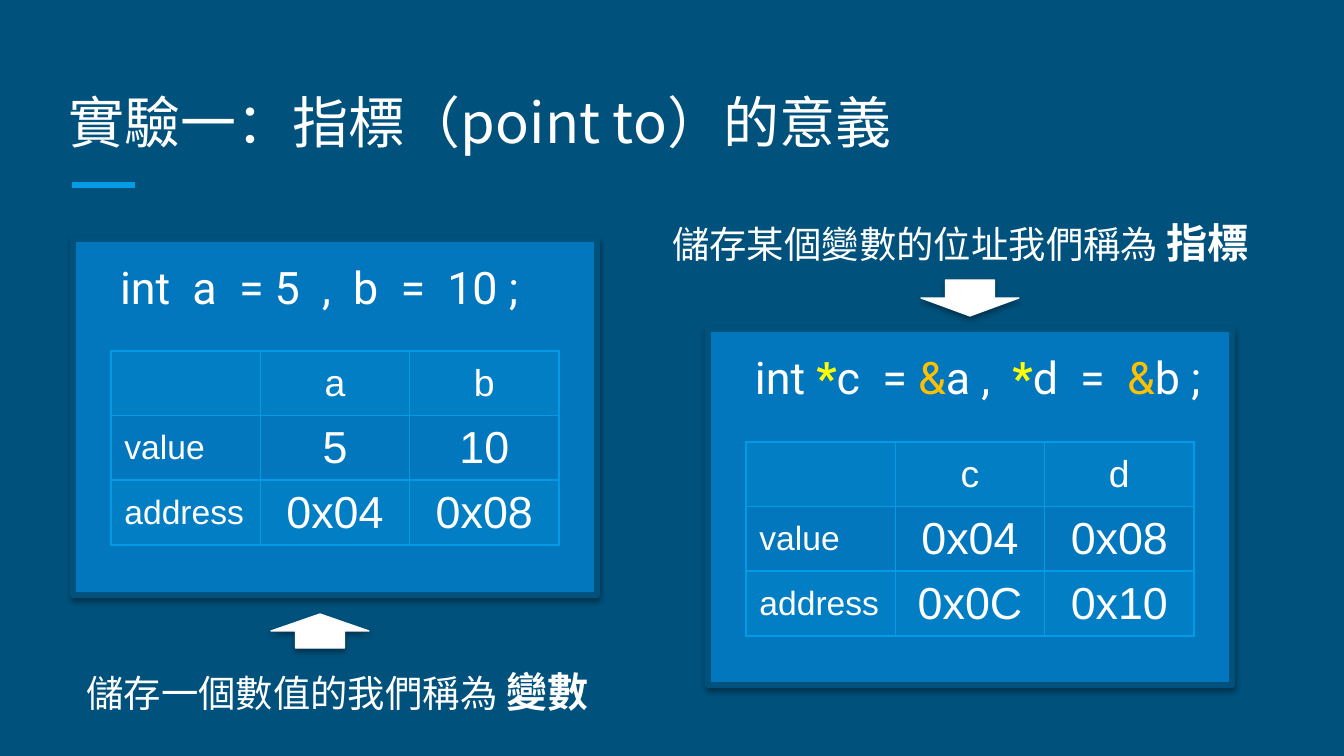
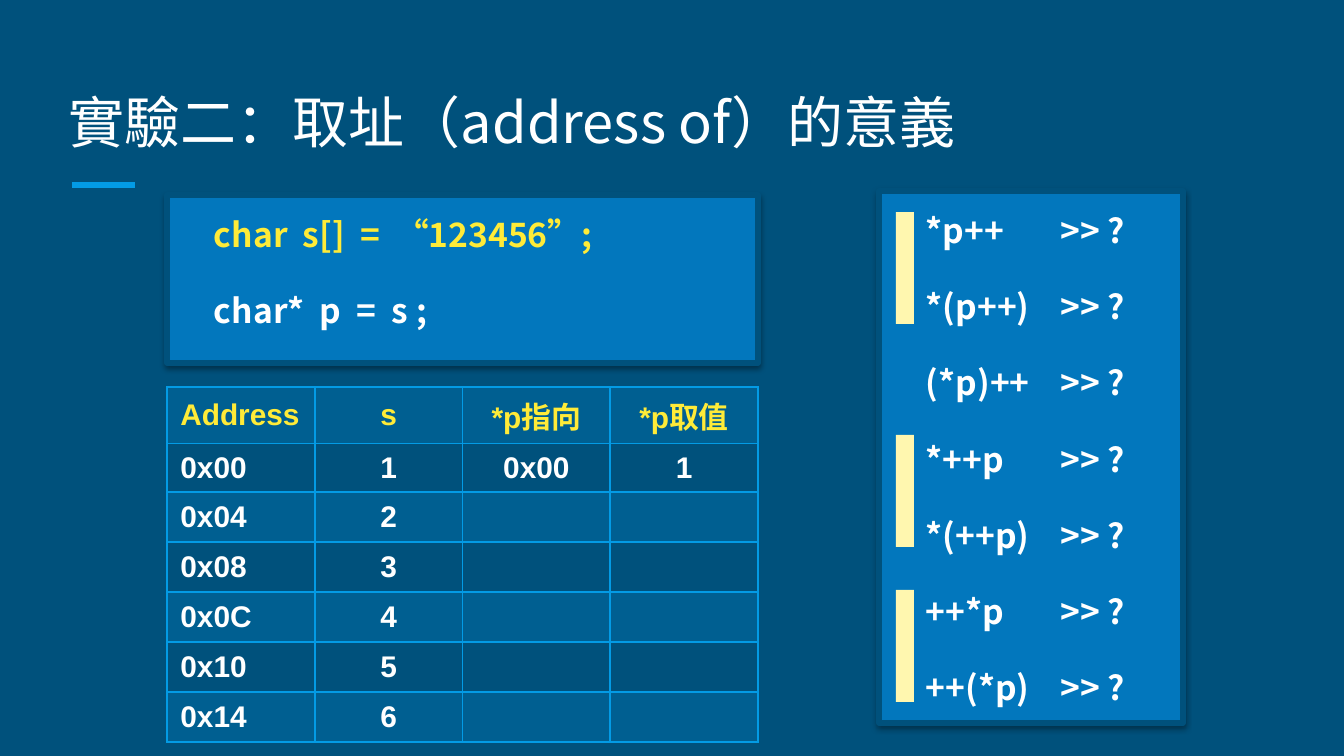
import pptx
import pptx.util
import pptx.dml.color
import pptx.enum.shapes
import pptx.enum.text
import pptx.oxml.ns
from lxml import etree

EMU_PER_PX = 914400 / 134.4
INSET = 13
CODE_INSET = 47
CJK_FONT = "Noto Sans CJK SC"
CODE_FONT = "Roboto"
TABLE_FONT = "Arial"
COLOURS = {
    "background": "00517C",
    "panel": "0277BD",
    "accent": "039BE5",
    "white": "FFFFFF",
    "arrow_edge": "F9F9F9",
    "star": "FFFF00",
    "ampersand": "FFC000",
    "highlight": "FFEB38",
    "bar": "FFF7AF",
    "shadow": "000000",
}
SHAPES = pptx.enum.shapes.MSO_SHAPE
ANCHORS = pptx.enum.text.MSO_ANCHOR
ALIGN = pptx.enum.text.PP_ALIGN
qn = pptx.oxml.ns.qn


def px(length):
    return pptx.util.Emu(round(length * EMU_PER_PX))


def colour(name):
    return pptx.dml.color.RGBColor.from_string(COLOURS[name])


def place(shape, box):
    shape.left, shape.top, shape.width, shape.height = map(px, box)


# Text
def style_run(run, font, size, tint="white", bold=False):
    run.font.name = font
    run.font.size = pptx.util.Pt(size)
    run.font.bold = bold
    run.font.color.rgb = colour(tint)
    east_asian = etree.SubElement(run.font._element, qn("a:ea"))
    east_asian.set("typeface", CJK_FONT)


def write_runs(paragraph, parts, font, size):
    """Each part is (text, colour, bold) with an optional size of its own."""
    for text, tint, bold, *own_size in parts:
        run = paragraph.add_run()
        run.text = text
        style_run(run, font, own_size[0] if own_size else size, tint, bold)


def set_frame(frame, left=INSET, anchor=ANCHORS.TOP):
    frame.word_wrap = True
    frame.auto_size = pptx.enum.text.MSO_AUTO_SIZE.NONE
    frame.vertical_anchor = anchor
    frame.margin_left = px(left)
    frame.margin_top = frame.margin_right = frame.margin_bottom = px(INSET)


def write_code(frame, lines, font, size, tab=None):
    set_frame(frame, CODE_INSET)
    for index, parts in enumerate(lines):
        paragraph = frame.add_paragraph() if index else frame.paragraphs[0]
        properties = paragraph._p.get_or_add_pPr()
        properties.set("marL", "0")
        properties.set("indent", "0")
        etree.SubElement(properties, qn("a:buNone"))
        if tab:
            stops = etree.SubElement(properties, qn("a:tabLst"))
            etree.SubElement(stops, qn("a:tab"), pos=str(px(tab)), algn="l")
        paragraph.alignment = ALIGN.LEFT
        paragraph.line_spacing = 1.15
        paragraph.space_before = pptx.util.Pt(0)
        paragraph.space_after = pptx.util.Pt(16)
        write_runs(paragraph, parts, font, size)


# Shapes
def paint(shape, fill, line=None, width=0):
    shape.fill.solid()
    shape.fill.fore_color.rgb = colour(fill)
    if line:
        shape.line.color.rgb = colour(line)
        shape.line.width = pptx.util.Pt(width)
    else:
        shape.line.fill.background()
    shape.shadow.inherit = False


def add_shadow(shape):
    effects = shape._element.spPr.find(qn("a:effectLst"))
    shadow = etree.SubElement(effects, qn("a:outerShdw"), blurRad="40000",
                              dist="20000", dir="5400000", rotWithShape="0")
    tone = etree.SubElement(shadow, qn("a:srgbClr"), val=COLOURS["shadow"])
    etree.SubElement(tone, qn("a:alpha"), val="38000")


def style_panel(shape):
    paint(shape, "panel", "background", 3)
    add_shadow(shape)


def add_code_panel(slide, box, lines, font, size, tab=None):
    panel = slide.shapes.add_shape(SHAPES.RECTANGLE, *map(px, box))
    style_panel(panel)
    write_code(panel.text_frame, lines, font, size, tab)


def add_arrow(slide, kind, box):
    arrow = slide.shapes.add_shape(kind, *map(px, box))
    paint(arrow, "white", "arrow_edge", 0.75)
    add_shadow(arrow)


def add_bar(slide, box):
    paint(slide.shapes.add_shape(SHAPES.RECTANGLE, *map(px, box)), "bar")


def add_caption(slide, box, sentence, term):
    caption = slide.shapes.add_textbox(*map(px, box))
    caption.text_frame.word_wrap = True
    write_runs(caption.text_frame.paragraphs[0],
               [(sentence, "white", False), (term, "white", True, 22)],
               CJK_FONT, 20)


# Tables
def style_cell(cell, shaded):
    properties = cell._tc.get_or_add_tcPr()
    for side in ("lnL", "lnR", "lnT", "lnB"):
        border = etree.SubElement(properties, qn("a:" + side), w="12700")
        solid = etree.SubElement(border, qn("a:solidFill"))
        etree.SubElement(solid, qn("a:srgbClr"), val=COLOURS["accent"])
    if shaded:
        solid = etree.SubElement(properties, qn("a:solidFill"))
        tone = etree.SubElement(solid, qn("a:srgbClr"), val=COLOURS["accent"])
        etree.SubElement(tone, qn("a:alpha"), val="20000")
    else:
        etree.SubElement(properties, qn("a:noFill"))
    cell.vertical_anchor = ANCHORS.MIDDLE


def add_grid(slide, box, rows, text_style):
    """text_style(row, column) gives the size, colour and weight of a cell."""
    grid = slide.shapes.add_table(len(rows), len(rows[0]), *map(px, box)).table
    grid.first_row = grid.horz_banding = False
    for row, texts in enumerate(rows):
        for column, text in enumerate(texts):
            cell = grid.cell(row, column)
            style_cell(cell, shaded=row % 2 == 0)
            paragraph = cell.text_frame.paragraphs[0]
            paragraph.alignment = ALIGN.CENTER if column else ALIGN.LEFT
            size, tint, bold = text_style(row, column)
            if text:
                paragraph.text = text
                style_run(paragraph.runs[0], TABLE_FONT, size, tint, bold)
            else:
                etree.SubElement(paragraph._p, qn("a:endParaRPr"),
                                 sz=str(size * 100))


def variable_style(row, column):
    if column == 0:
        return 18, "white", False
    return (24 if row else 20), "white", False


def trace_style(row, column):
    return 16, ("white" if row else "highlight"), True


def add_variable_table(slide, left, top, names, values, addresses):
    rows = [["", *names], ["value", *values], ["address", *addresses]]
    add_grid(slide, (left, top, 448, 194), rows, variable_style)


# Shared slide frame
def add_titled_slide(deck, layout, heading):
    slide = deck.slides.add_slide(deck.slide_layouts[layout])
    slide.background.fill.solid()
    slide.background.fill.fore_color.rgb = colour("background")
    rule = slide.shapes.add_connector(
        pptx.enum.shapes.MSO_CONNECTOR.STRAIGHT, px(72), px(185), px(135), px(185))
    rule.line.color.rgb = colour("accent")
    rule.line.width = pptx.util.Pt(3)
    etree.SubElement(rule._element.spPr, qn("a:effectLst"))
    title = slide.shapes.title
    place(title, (56, 67, 1230, 101))
    set_frame(title.text_frame, anchor=ANCHORS.BOTTOM)
    title.text_frame.text = heading
    title.text_frame.paragraphs[0].alignment = ALIGN.LEFT
    style_run(title.text_frame.paragraphs[0].runs[0], CJK_FONT, 30)
    return slide


def build_pointer_slide(deck):
    slide = add_titled_slide(deck, 5, "實驗一：指標（point to）的意義")

    # Plain variables
    add_code_panel(slide, (73, 239, 524, 356),
                   [[("int  a  = 5  ,  b  =  10 ;", "white", False)]],
                   CODE_FONT, 24)
    add_variable_table(slide, 111, 351, "ab", ["5", "10"], ["0x04", "0x08"])

    # Pointers
    declaration = [
        ("int ", "white", False), ("*", "star", True),
        ("c  = ", "white", False), ("&", "ampersand", False),
        ("a ,  ", "white", False), ("*", "star", True),
        ("d  =  ", "white", False), ("&", "ampersand", False),
        ("b ;", "white", False),
    ]
    add_code_panel(slide, (708, 329, 524, 356), [declaration], CODE_FONT, 24)
    add_variable_table(slide, 746, 442, "cd", ["0x04", "0x08"], ["0x0C", "0x10"])

    # Captions
    add_caption(slide, (73, 660, 542, 63), "儲存一個數值的我們稱為 ", "變數")
    add_caption(slide, (659, 211, 629, 63), "儲存某個變數的位址我們稱為 ", "指標")
    add_arrow(slide, SHAPES.UP_ARROW, (271, 614, 98, 34))
    add_arrow(slide, SHAPES.DOWN_ARROW, (921, 280, 98, 36))


def build_address_slide(deck):
    slide = add_titled_slide(deck, 1, "實驗二：取址（address of）的意義")

    # Declarations
    declarations = slide.placeholders[1]
    place(declarations, (167, 195, 591, 168))
    style_panel(declarations)
    write_code(declarations.text_frame,
               [[("char  s[]  =  “123456”;", "highlight", True)],
                [("char*  p  =  s ;", "white", True)]], CJK_FONT, 18)

    # Expressions to evaluate
    expressions = ["*p++", "*(p++)", "(*p)++", "*++p", "*(++p)", "++*p", "++(*p)"]
    add_code_panel(slide, (879, 191, 304, 532),
                   [[(code + "\t>> ?", "white", True)] for code in expressions],
                   CJK_FONT, 18, tab=118)

    # Memory trace
    rows = [["Address", "s", "*p指向", "*p取值"], ["0x00", "1", "0x00", "1"]]
    rows += [[f"0x{4 * step:02X}", str(step + 1), "", ""] for step in range(1, 6)]
    add_grid(slide, (167, 387, 591, 339), rows, trace_style)

    # Bars joining equivalent expressions
    for top in (212, 435, 590):
        add_bar(slide, (896, top, 18, 112))


def main():
    deck = pptx.Presentation()
    deck.slide_width, deck.slide_height = px(1344), px(756)
    build_pointer_slide(deck)
    build_address_slide(deck)
    deck.save("out.pptx")


if __name__ == "__main__":
    main()
